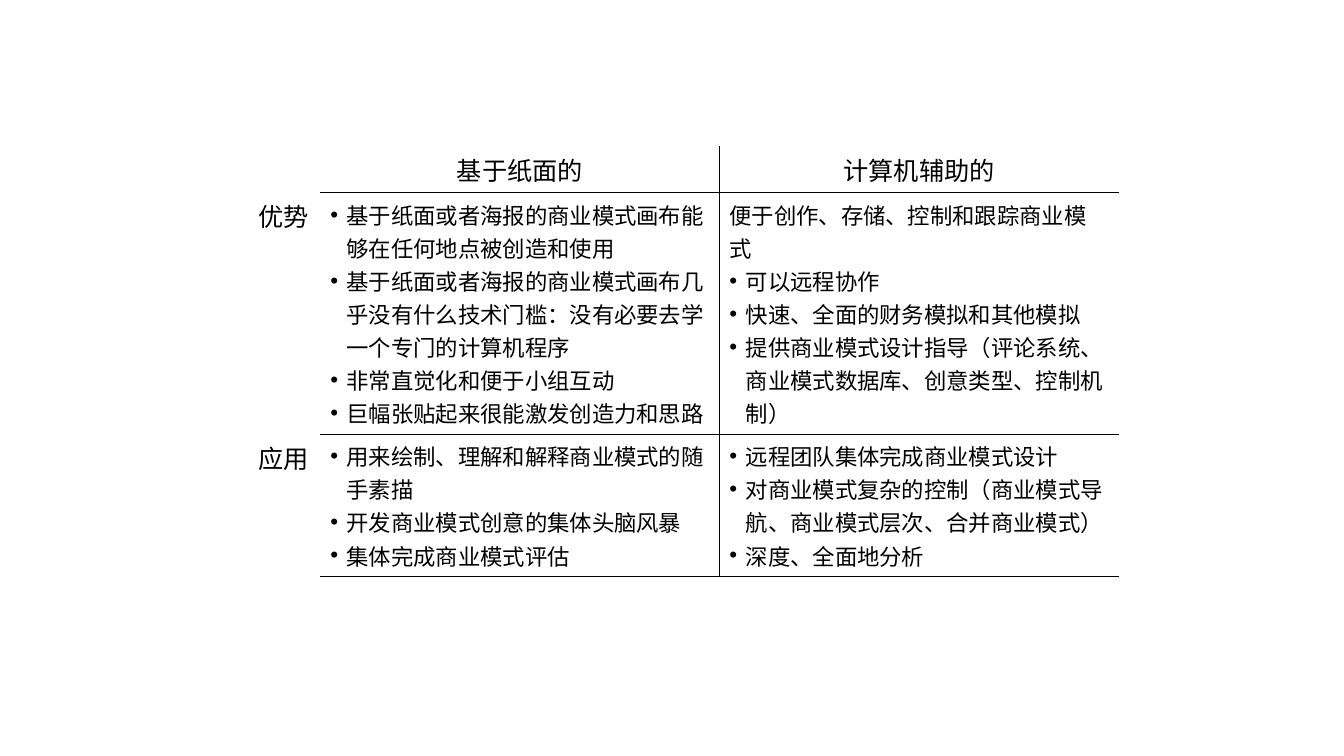
from lxml import etree
from pptx import Presentation
from pptx.dml.color import RGBColor
from pptx.enum.text import MSO_ANCHOR, PP_ALIGN
from pptx.oxml.ns import qn
from pptx.util import Cm, Pt

CENTER, LEFT = PP_ALIGN.CENTER, PP_ALIGN.LEFT
MIDDLE, TOP = MSO_ANCHOR.MIDDLE, MSO_ANCHOR.TOP

COLORS = {"ink": "000000"}
FONT = "Noto Sans CJK SC"
NO_STYLE = "{2D5ABB26-0587-4C30-8999-92F81FD0307C}"
BULLET = "•"

HEADINGS = ["基于纸面的", "计算机辅助的"]
SECTIONS = [
    ("优势", [
        ["•基于纸面或者海报的商业模式画布能够在任何地点被创造和使用",
         "•基于纸面或者海报的商业模式画布几乎没有什么技术门槛：没有必要去学一个专门的计算机程序",
         "•非常直觉化和便于小组互动",
         "•巨幅张贴起来很能激发创造力和思路"],
        ["便于创作、存储、控制和跟踪商业模式",
         "•可以远程协作",
         "•快速、全面的财务模拟和其他模拟",
         "•提供商业模式设计指导（评论系统、商业模式数据库、创意类型、控制机制）"],
    ]),
    ("应用", [
        ["•用来绘制、理解和解释商业模式的随手素描",
         "•开发商业模式创意的集体头脑风暴",
         "•集体完成商业模式评估"],
        ["•远程团队集体完成商业模式设计",
         "•对商业模式复杂的控制（商业模式导航、商业模式层次、合并商业模式）",
         "•深度、全面地分析"],
    ]),
]

TABLE_LEFT, TABLE_TOP = Cm(6.22), Cm(3.68)
COLUMN_WIDTHS = [Cm(1.85), Cm(10.06), Cm(10.06)]
ROW_HEIGHTS = [Cm(0.99), Cm(5.92), Cm(3.48)]
INDENT = Cm(0.41)


def add_span(para, text, size):
    span = para.add_run()
    span.text = text
    span.font.size = Pt(size)
    span.font.name = FONT
    span.font.color.rgb = RGBColor.from_string(COLORS["ink"])
    properties = span.font._element
    etree.SubElement(properties, qn("a:ea"), typeface=FONT)


def write_label(cell, text, anchor):
    cell.vertical_anchor = anchor
    para = cell.text_frame.paragraphs[0]
    para.alignment = CENTER
    add_span(para, text, 18)


def write_points(cell, points):
    cell.vertical_anchor = TOP
    frame = cell.text_frame
    for index, point in enumerate(points):
        para = frame.add_paragraph() if index else frame.paragraphs[0]
        para.alignment = LEFT
        para.line_spacing = Pt(23.6)
        if point.startswith(BULLET):
            properties = para._p.get_or_add_pPr()
            properties.set("marL", str(INDENT))
            properties.set("indent", str(-INDENT))
            etree.SubElement(properties, qn("a:buFont"), typeface="Arial")
            etree.SubElement(properties, qn("a:buChar"), char=BULLET)
        add_span(para, point.removeprefix(BULLET), 16)


def draw_borders(cell, sides):
    properties = cell._tc.get_or_add_tcPr()
    for side in "LRTB":
        line = etree.SubElement(properties, qn("a:ln" + side), w=str(Pt(1)))
        if side in sides:
            fill = etree.SubElement(line, qn("a:solidFill"))
            etree.SubElement(fill, qn("a:srgbClr"), val=COLORS["ink"])
        else:
            etree.SubElement(line, qn("a:noFill"))
    cell.fill.background()


deck = Presentation()
deck.slide_width, deck.slide_height = Cm(33.87), Cm(19.05)
page = deck.slides.add_slide(deck.slide_layouts[6])

comparison = page.shapes.add_table(
    len(ROW_HEIGHTS), len(COLUMN_WIDTHS), TABLE_LEFT, TABLE_TOP,
    sum(COLUMN_WIDTHS), sum(ROW_HEIGHTS))
table = comparison.table
table.first_row = table.horz_banding = False
for style in comparison.element.iter(qn("a:tableStyleId")):
    style.text = NO_STYLE
for column, width in zip(table.columns, COLUMN_WIDTHS):
    column.width = width
for row, height in zip(table.rows, ROW_HEIGHTS):
    row.height = height

for column, heading in enumerate(HEADINGS, 1):
    write_label(table.cell(0, column), heading, MIDDLE)
for row, (label, columns) in enumerate(SECTIONS, 1):
    write_label(table.cell(row, 0), label, TOP)
    for column, points in enumerate(columns, 1):
        write_points(table.cell(row, column), points)

for row in range(len(ROW_HEIGHTS)):
    for column, inner_side in enumerate(["", "R", "L"]):
        sides = inner_side + ("TB" if row else "B") if column else ""
        draw_borders(table.cell(row, column), sides)

deck.save("out.pptx")
